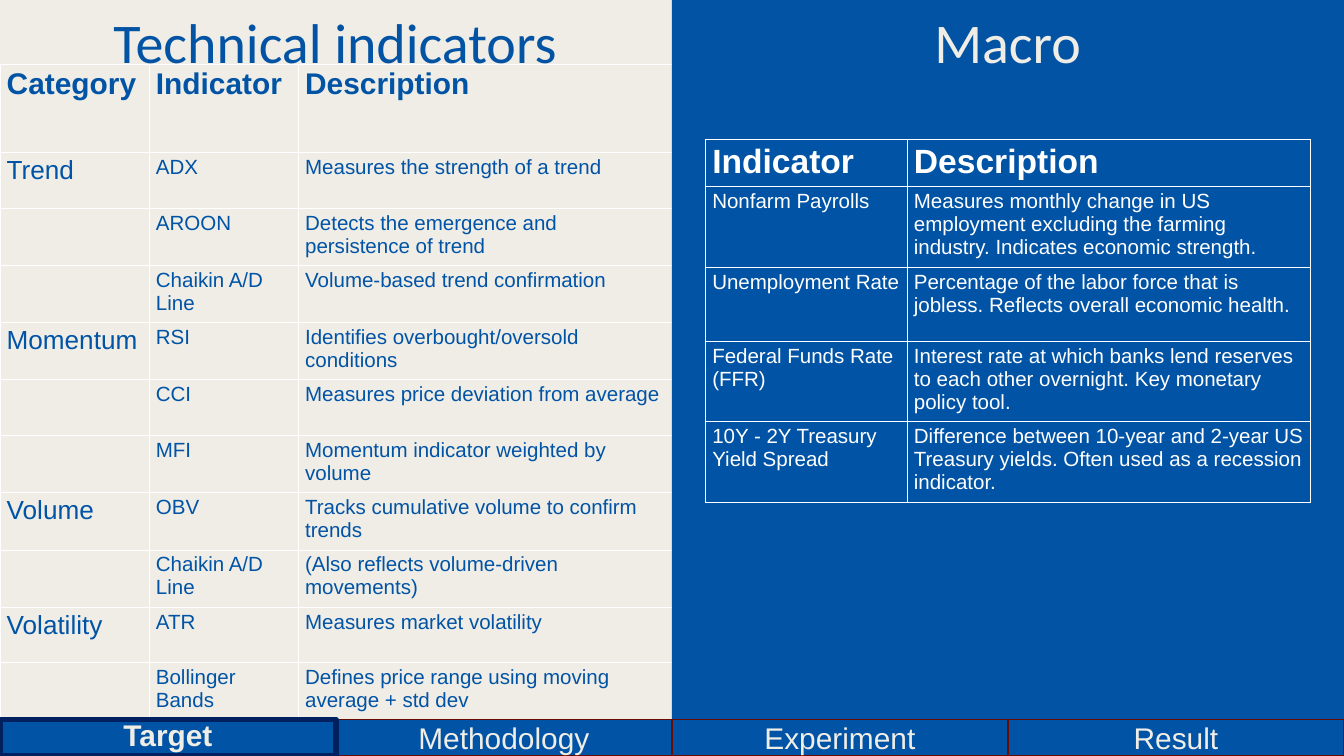
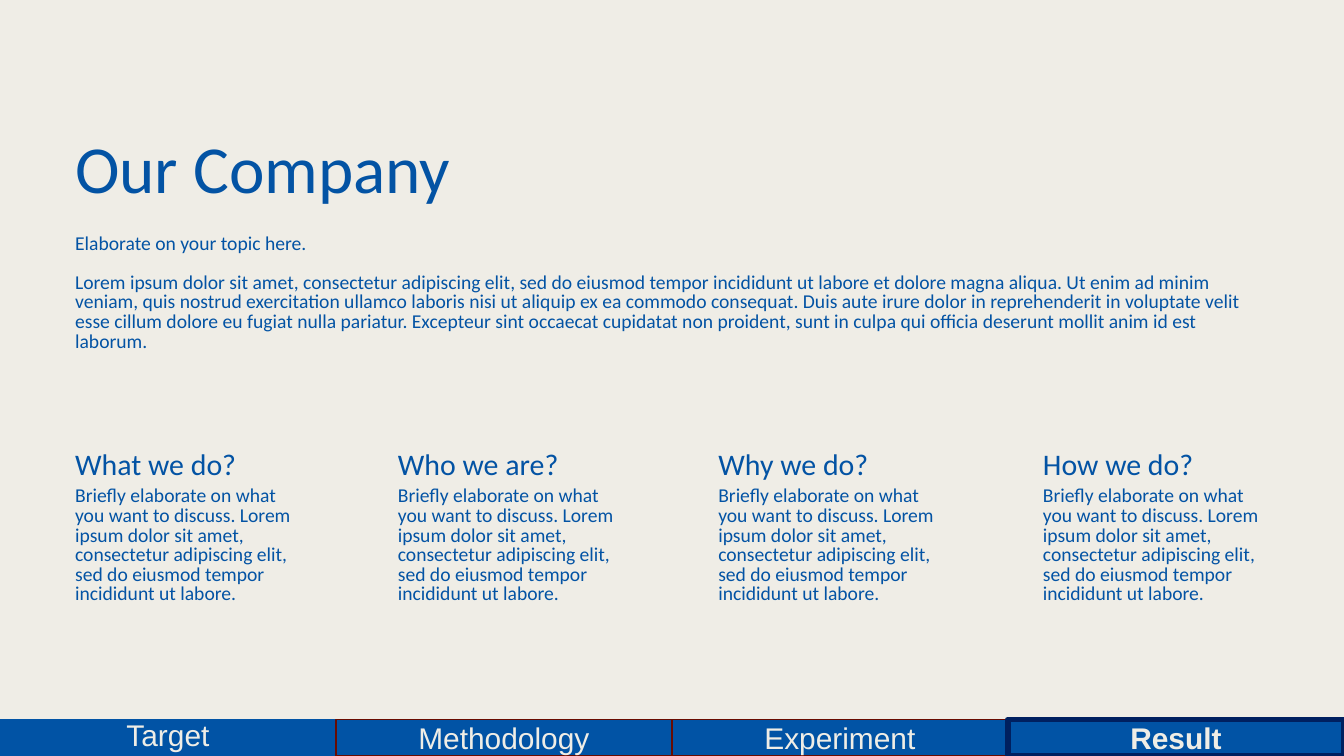
from pptx import Presentation
from pptx.dml.color import RGBColor
from pptx.enum.shapes import MSO_SHAPE
from pptx.enum.text import MSO_ANCHOR, MSO_AUTO_SIZE, PP_ALIGN
from pptx.util import Cm, Pt

COLORS = {
    "cream": "EFEDE6", "blue": "0153A5", "text": "0353A4",
    "navy": "002060", "maroon": "680B01", "white": "FFFFFF",
}
C = {name: RGBColor.from_string(value) for name, value in COLORS.items()}
SECTIONS = ["Target", "Methodology", "Experiment", "Result"]
W, H = 50.8, 28.58
NAV_TOP, NAV_H = 27.2, 1.38
HALF, TAB_W = W / 2, W / len(SECTIONS)


def add_text(shapes, box, paragraphs, size, spacing, color="text", align=None):
    """Add a Calibri text box without margins; box is in centimetres."""
    tf = shapes.add_textbox(*[Cm(v) for v in box]).text_frame
    tf.word_wrap = True
    tf.auto_size = MSO_AUTO_SIZE.SHAPE_TO_FIT_TEXT
    tf.margin_left = tf.margin_right = tf.margin_top = tf.margin_bottom = 0
    for i, text in enumerate(paragraphs):
        p = tf.paragraphs[0] if i == 0 else tf.add_paragraph()
        p.text = text
        p.alignment = align
        p.line_spacing = Pt(spacing)
        if i < len(paragraphs) - 1:
            p.space_after = Pt(spacing)
        p.font.name = "Calibri"
        p.font.size = Pt(size)
        p.font.color.rgb = C[color]


def add_table(s, left, top, widths, heights, rows, sizes, fill, color):
    """Add a table; sizes holds the header size, then one body size per column."""
    table = s.shapes.add_table(len(rows), len(widths), Cm(left), Cm(top),
                               Cm(sum(widths)), Cm(sum(heights))).table
    table.horz_banding = False
    for column, width in zip(table.columns, widths):
        column.width = Cm(width)
    for i, (row, height) in enumerate(zip(rows, heights)):
        table.rows[i].height = Cm(height)
        for j, text in enumerate(row):
            cell = table.cell(i, j)
            cell.fill.solid()
            cell.fill.fore_color.rgb = C[fill]
            cell.text = text
            p = cell.text_frame.paragraphs[0]
            p.font.name = "Arial"
            p.font.size = Pt(sizes[0] if i == 0 else sizes[j + 1])
            p.font.bold = i == 0
            p.font.color.rgb = C[color]


prs = Presentation()
prs.slide_width, prs.slide_height = Cm(W), Cm(H)
slides = []
for _ in range(2):
    s = prs.slides.add_slide(prs.slide_layouts[6])
    s.background.fill.solid()
    s.background.fill.fore_color.rgb = C["cream"]
    slides.append(s)
indicators, company = slides

# Indicators: technical on the left half, macro on the right half
technical = [
    ("Category", "Indicator", "Description"),
    ("Trend", "ADX", "Measures the strength of a trend"),
    ("", "AROON", "Detects the emergence and persistence of trend"),
    ("", "Chaikin A/D Line", "Volume-based trend confirmation"),
    ("Momentum", "RSI", "Identifies overbought/oversold conditions"),
    ("", "CCI", "Measures price deviation from average"),
    ("", "MFI", "Momentum indicator weighted by volume"),
    ("Volume", "OBV", "Tracks cumulative volume to confirm trends"),
    ("", "Chaikin A/D Line", "(Also reflects volume-driven movements)"),
    ("Volatility", "ATR", "Measures market volatility"),
    ("", "Bollinger Bands", "Defines price range using moving average + std dev"),
]
macro = [
    ("Indicator", "Description"),
    ("Nonfarm Payrolls", "Measures monthly change in US employment excluding "
     "the farming industry. Indicates economic strength."),
    ("Unemployment Rate", "Percentage of the labor force that is jobless. "
     "Reflects overall economic health."),
    ("Federal Funds Rate (FFR)", "Interest rate at which banks lend reserves "
     "to each other overnight. Key monetary policy tool."),
    ("10Y - 2Y Treasury Yield Spread", "Difference between 10-year and 2-year "
     "US Treasury yields. Often used as a recession indicator."),
]
technical_heights = [3.33] + [2.11 if i % 4 == 0 else 2.16 for i in range(10)]
add_table(indicators, 0, 2.44, [5.64, 5.64, 14.12], technical_heights,
          technical, [32, 28, 22, 22], "cream", "blue")

panel = indicators.shapes.add_shape(MSO_SHAPE.RECTANGLE, Cm(HALF), 0, Cm(HALF), Cm(H))
panel.shadow.inherit = False
panel.fill.solid()
panel.fill.fore_color.rgb = C["text"]
panel.line.fill.background()

for left, title, color in [(2.82, "Technical indicators", "text"),
                           (28.24, "Macro", "cream")]:
    add_text(indicators.shapes, (left, 0.3, 19.69, 2.6), [title], 60, 72,
             color, PP_ALIGN.CENTER)
add_table(indicators, 26.67, 5.28, [7.62, 15.24], [1.6] + [2.79] * 4,
          macro, [36, 22, 22], "blue", "white")

# Company: title, introduction and four questions
LEFT = 2.84
add_text(company.shapes, (LEFT, 5.28, 22.56, 2.64), ["Our Company"], 72, 72)
intro = [
    "Elaborate on your topic here.",
    "Lorem ipsum dolor sit amet, consectetur adipiscing elit, sed do eiusmod "
    "tempor incididunt ut labore et dolore magna aliqua. Ut enim ad minim veniam, "
    "quis nostrud exercitation ullamco laboris nisi ut aliquip ex ea commodo "
    "consequat. Duis aute irure dolor in reprehenderit in voluptate velit esse "
    "cillum dolore eu fugiat nulla pariatur. Excepteur sint occaecat cupidatat non "
    "proident, sunt in culpa qui officia deserunt mollit anim id est laborum.",
]
add_text(company.shapes, (LEFT, 8.86, 45.08, 4.5), intro, 21, 21)
answer = ("Briefly elaborate on what you want to discuss. Lorem ipsum dolor sit amet, "
          "consectetur adipiscing elit, sed do eiusmod tempor incididunt ut labore.")
for left, question in [(LEFT, "What we do?"), (15.04, "Who we are?"),
                       (27.15, "Why we do?"), (39.42, "How we do?")]:
    group = company.shapes.add_group_shape()
    add_text(group.shapes, (left, 16.84, 8.6, 1.35), [question], 32, 38.4)
    add_text(group.shapes, (left, 18.42, 8.6, 5.26), [answer], 21, 21)

# Navigation bar, with the active tab last so that its outline stays on top
for s, active in [(indicators, "Target"), (company, "Result")]:
    for name in sorted(SECTIONS, key=lambda section: section == active):
        tab = s.shapes.add_shape(MSO_SHAPE.RECTANGLE, Cm(SECTIONS.index(name) * TAB_W),
                                 Cm(NAV_TOP), Cm(TAB_W), Cm(NAV_H))
        tab.shadow.inherit = False
        tab.fill.solid()
        tab.fill.fore_color.rgb = C["blue"]
        idle_line = "blue" if name == "Target" else "maroon"
        tab.line.color.rgb = C["navy" if name == active else idle_line]
        tab.line.width = Pt(6 if name == active else 1.25)
        tf = tab.text_frame
        tf.vertical_anchor = MSO_ANCHOR.MIDDLE
        if name == "Target":
            tf.margin_bottom = Cm(0.34)
        p = tf.paragraphs[0]
        p.text = name
        p.alignment = PP_ALIGN.CENTER
        p.font.name = "Arial"
        p.font.size = Pt(32)
        p.font.bold = name == active
        p.font.color.rgb = C["cream"]

prs.save("out.pptx")
